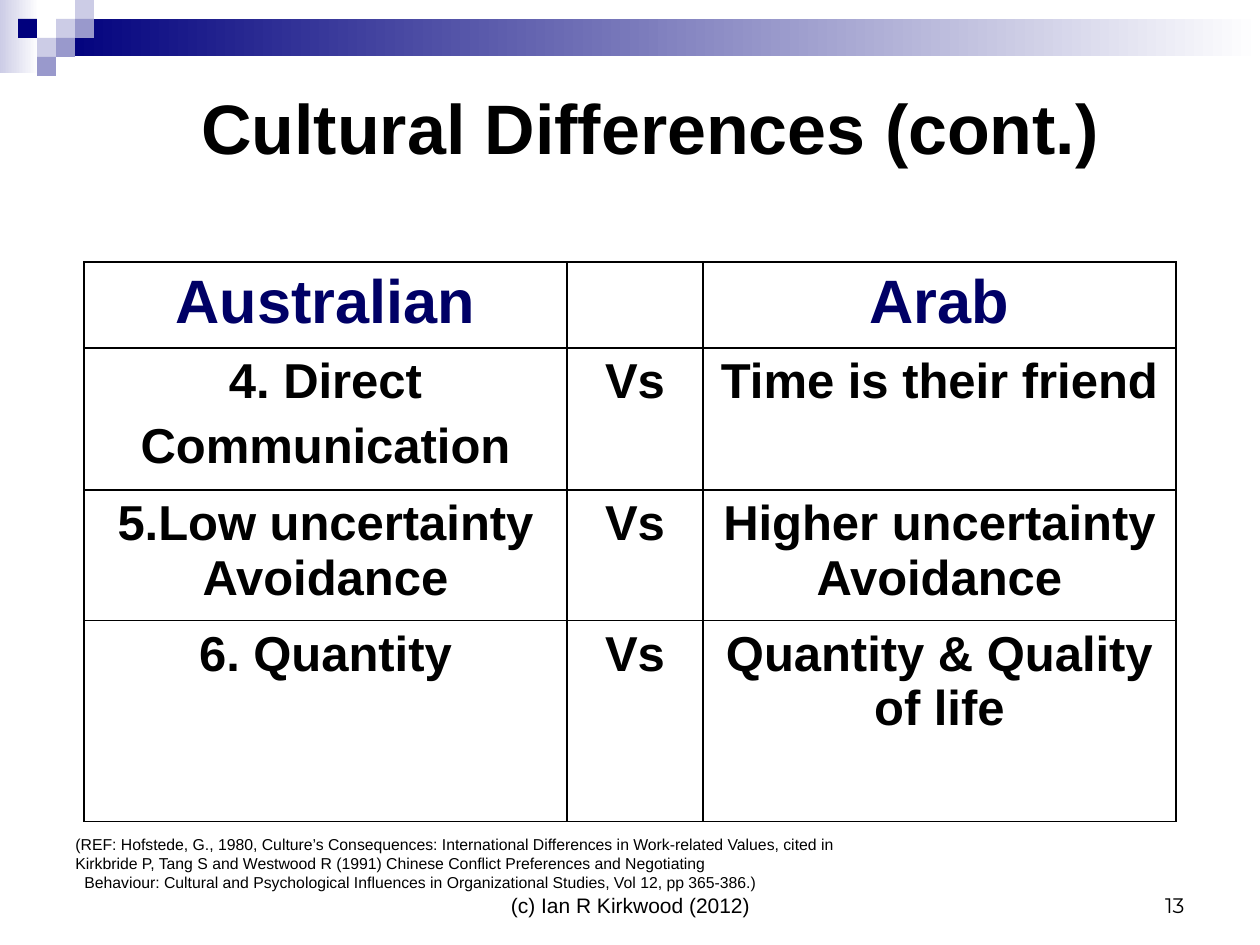
from lxml.etree import SubElement
from pptx import Presentation
from pptx.dml.color import RGBColor
from pptx.enum.shapes import MSO_CONNECTOR, MSO_SHAPE
from pptx.enum.text import MSO_ANCHOR, PP_ALIGN
from pptx.oxml.ns import qn
from pptx.util import Pt

PX = 914400 // 126
BLACK, NAVY, HEADING, LILAC, VIOLET = "000000", "00007D", "000066", "CCCCE6", "9999CC"
LEFT, CENTER, RIGHT = PP_ALIGN.LEFT, PP_ALIGN.CENTER, PP_ALIGN.RIGHT
TOP, MIDDLE, BOTTOM = MSO_ANCHOR.TOP, MSO_ANCHOR.MIDDLE, MSO_ANCHOR.BOTTOM

BANDS = [((0, 0, 39, 73), LILAC), ((56, 19, 1204, 37), NAVY)]
SQUARE, SQUARES_LEFT = 19, 18
SQUARES = [(2, 1, LILAC), (3, 0, LILAC), (3, 1, VIOLET), (1, 2, LILAC),
           (0, 1, NAVY), (2, 2, VIOLET), (1, 3, VIOLET)]

TABLE_LEFT, TABLE_TOP = 84, 262
COLUMNS = [483, 136, 473]
ROWS = [86, 142, 130, 201]
CELLS = [
    [["Australian"], [], ["Arab"]],
    [["4. Direct", "Communication"], ["Vs"], ["Time is their friend"]],
    [["5.Low uncertainty Avoidance"], ["Vs"], ["Higher uncertainty Avoidance"]],
    [["6. Quantity"], ["Vs"], ["Quantity & Quality of life"]],
]

REFERENCE = [
    "(REF: Hofstede, G., 1980, Culture’s Consequences: International Differences in Work-related Values, cited in",
    "Kirkbride P, Tang S and Westwood R (1991) Chinese Conflict Preferences and Negotiating",
    "Behaviour: Cultural and Psychological Influences in Organizational Studies, Vol 12, pp 365-386.)",
]
TEXTS = [
    ((431, 861, 399, 63), ["(c) Ian R Kirkwood (2012)"], CENTER, BOTTOM, {"size": Pt(12)}),
    ((903, 861, 294, 63), ["13"], RIGHT, BOTTOM, {"size": Pt(12), "name": "Montserrat"}),
    ((189, 53, 955, 147), ["Cultural Differences (cont.)"], LEFT, MIDDLE,
     {"size": Pt(40), "bold": True}),
    ((63, 829, 1040, 69), REFERENCE, LEFT, TOP, {"size": Pt(9)}),
]


def color(value):
    return RGBColor.from_string(value)


def scaled(lengths):
    return [length * PX for length in lengths]


def write(frame, lines, align, font, gap=0):
    for index, line in enumerate(lines):
        para = frame.paragraphs[0] if index == 0 else frame.add_paragraph()
        para.alignment = align
        if index:
            para.space_before = Pt(gap)
        span = para.add_run()
        span.text = line
        for name, value in {"name": "Arial", **font}.items():
            setattr(span.font, name, value)
        span.font.color.rgb = color(font_color(font))


def font_color(font):
    return HEADING if font["size"] == Pt(35) else BLACK


def add_block(page, place, fill, fade=False):
    block = page.shapes.add_shape(MSO_SHAPE.RECTANGLE, *scaled(place))
    block.shadow.inherit = False
    block.line.fill.background()
    if fade:
        block.fill.gradient()
        block.fill.gradient_angle = 0
        for stop, shade in zip(block.fill.gradient_stops, (fill, "FFFFFF")):
            stop.color.rgb = color(shade)
    else:
        block.fill.solid()
        block.fill.fore_color.rgb = color(fill)


def add_borders(cell):
    properties = cell._tc.get_or_add_tcPr()
    for index, side in enumerate(("a:lnL", "a:lnR", "a:lnT", "a:lnB")):
        border = properties.makeelement(qn(side), {"w": str(Pt(1))})
        properties.insert(index, border)
        SubElement(SubElement(border, qn("a:solidFill")), qn("a:srgbClr"), val=BLACK)


def add_comparison(page):
    place = scaled((TABLE_LEFT, TABLE_TOP, sum(COLUMNS), sum(ROWS)))
    table = page.shapes.add_table(len(ROWS), len(COLUMNS), *place).table
    for column, width in zip(table.columns, COLUMNS):
        column.width = width * PX
    for index, (row, height) in enumerate(zip(table.rows, ROWS)):
        row.height = height * PX
        size = 28 if index else 35
        for cell, lines in zip(row.cells, CELLS[index]):
            cell.fill.background()
            add_borders(cell)
            write(cell.text_frame, lines, CENTER, {"size": Pt(size), "bold": True}, size / 5)


def add_top_rule(page):
    right = TABLE_LEFT + sum(COLUMNS)
    ends = scaled((TABLE_LEFT, TABLE_TOP, right, TABLE_TOP))
    rule = page.shapes.add_connector(MSO_CONNECTOR.STRAIGHT, *ends)
    rule.line.color.rgb = color(BLACK)
    rule.line.width = Pt(0.75)
    SubElement(rule._element.spPr, qn("a:effectLst"))


def main():
    """Build the cultural differences slide."""
    deck = Presentation()
    deck.slide_width, deck.slide_height = scaled((1260, 945))
    page = deck.slides.add_slide(deck.slide_layouts[6])
    for place, fill in BANDS:
        add_block(page, place, fill, fade=True)
    for column, row, fill in SQUARES:
        place = (SQUARES_LEFT + column * SQUARE, row * SQUARE, SQUARE, SQUARE)
        add_block(page, place, fill)
    for place, lines, align, anchor, font in TEXTS:
        box = page.shapes.add_textbox(*scaled(place))
        box.text_frame.word_wrap = True
        box.text_frame.vertical_anchor = anchor
        write(box.text_frame, lines, align, font)
    last_line = box.text_frame.paragraphs[-1]
    last_line._p.get_or_add_pPr().set("marL", str(9 * PX))
    add_comparison(page)
    add_top_rule(page)
    deck.save("out.pptx")


if __name__ == "__main__":
    main()
